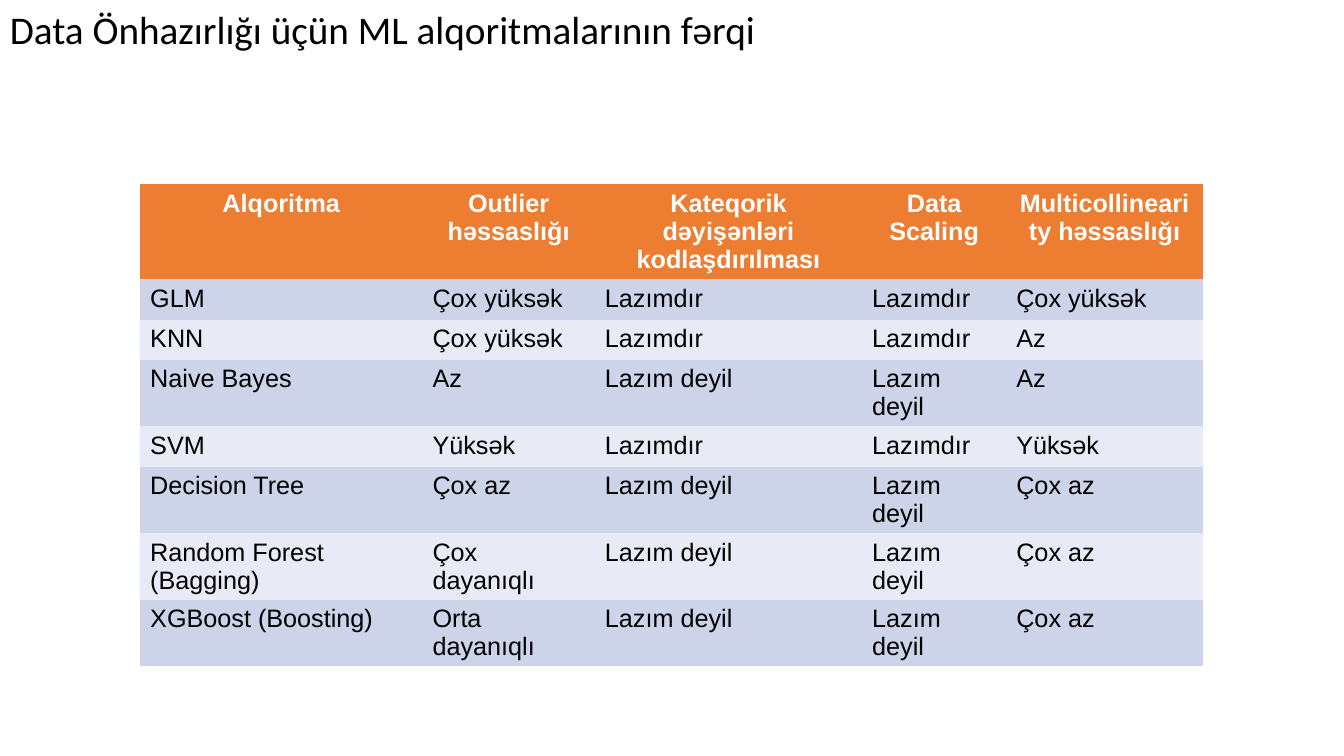
from pptx import Presentation
from pptx import util as u
from pptx.dml import color
from pptx.enum import text

COLORS = {"header": "ED7D31", "odd": "CDD4EA", "even": "E8EBF5",
          "white": "FFFFFF", "black": "000000"}
NO_STYLE = "{2D5ABB26-0587-4C30-8999-92F81FD0307C}"
COLUMNS = [2.8, 1.71, 2.65, 1.43, 1.95]
ROW_HEIGHT = 0.4
ROWS = [
    ["Alqoritma", "Outlier həssaslığı", "Kateqorik dəyişənləri kodlaşdırılması",
     "Data Scaling", "Multicollinearity həssaslığı"],
    ["GLM", "Çox yüksək", "Lazımdır", "Lazımdır", "Çox yüksək"],
    ["KNN", "Çox yüksək", "Lazımdır", "Lazımdır", "Az"],
    ["Naive Bayes", "Az", "Lazım deyil", "Lazım deyil", "Az"],
    ["SVM", "Yüksək", "Lazımdır", "Lazımdır", "Yüksək"],
    ["Decision Tree", "Çox az", "Lazım deyil", "Lazım deyil", "Çox az"],
    ["Random Forest (Bagging)", "Çox dayanıqlı", "Lazım deyil", "Lazım deyil", "Çox az"],
    ["XGBoost (Boosting)", "Orta dayanıqlı", "Lazım deyil", "Lazım deyil", "Çox az"],
]


class Deck:
    """Holds the slide and its text and table styles."""

    def __init__(self, prs):
        self.s = prs.slides.add_slide(prs.slide_layouts[6])

    def run(self, p, words, size, font, tone, bold=False):
        r = p.add_run()
        r.text = words
        r.font.size, r.font.name, r.font.bold = u.Pt(size), font, bold
        r.font.color.rgb = color.RGBColor.from_string(COLORS[tone])

    def title(self, words, x, y, w, h):
        sp = self.s.shapes.add_textbox(*map(u.Inches, (x, y, w, h)))
        tf = sp.text_frame
        tf.word_wrap = True
        self.run(tf.paragraphs[0], words, 28, "Calibri", "black")

    def table(self, rows, widths, height, x, y):
        box = map(u.Inches, (x, y, sum(widths), height * len(rows)))
        frame = self.s.shapes.add_table(len(rows), len(widths), *box)
        tbl = frame.table
        tbl.horz_banding = False
        frame._element.xpath(".//a:tableStyleId")[0].text = NO_STYLE
        for column, width in zip(tbl.columns, widths):
            column.width = u.Inches(width)
        for i, row in enumerate(rows):
            tbl.rows[i].height = u.Inches(height)
            for j, words in enumerate(row):
                self.cell(tbl.cell(i, j), words, i)

    def cell(self, cell, words, i):
        header = i == 0
        fill = "header" if header else "odd" if i % 2 else "even"
        cell.fill.solid()
        cell.fill.fore_color.rgb = color.RGBColor.from_string(COLORS[fill])
        p = cell.text_frame.paragraphs[0]
        p.alignment = text.PP_ALIGN.CENTER if header else text.PP_ALIGN.LEFT
        self.run(p, words, 18, "Arial", "white" if header else "black", header)


def main():
    prs = Presentation()
    prs.slide_width, prs.slide_height = u.Inches(13.33), u.Inches(7.5)
    deck = Deck(prs)
    deck.table(ROWS, COLUMNS, ROW_HEIGHT, 1.39, 1.83)
    deck.title("Data Önhazırlığı üçün ML alqoritmalarının fərqi", 0, 0, 13.33, 0.57)
    prs.save("out.pptx")


if __name__ == "__main__":
    main()
